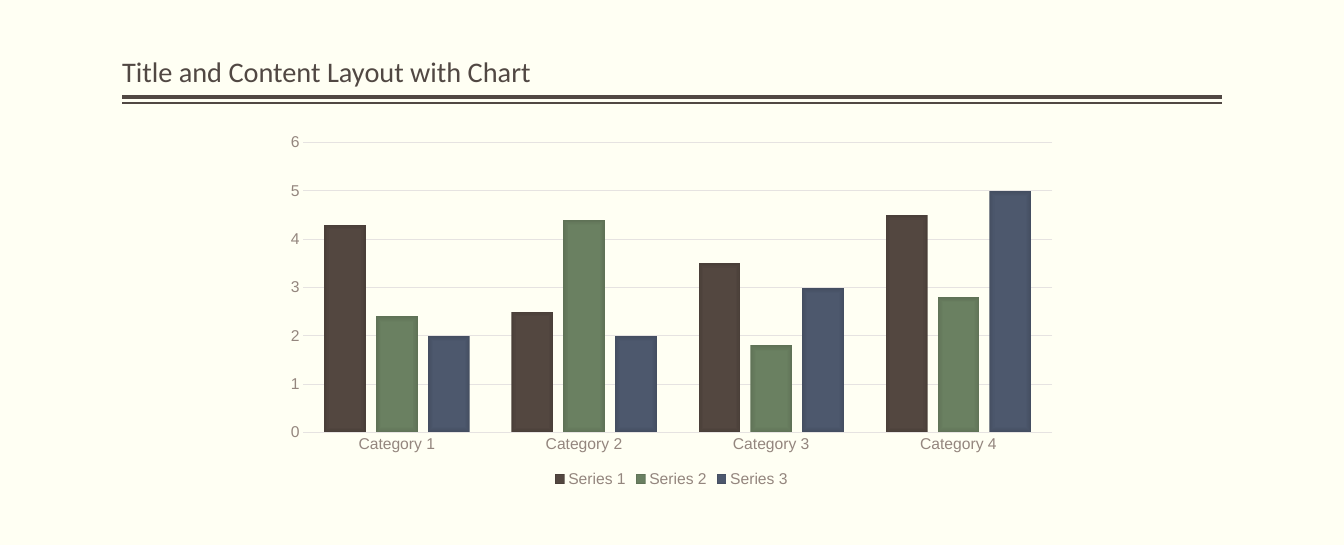
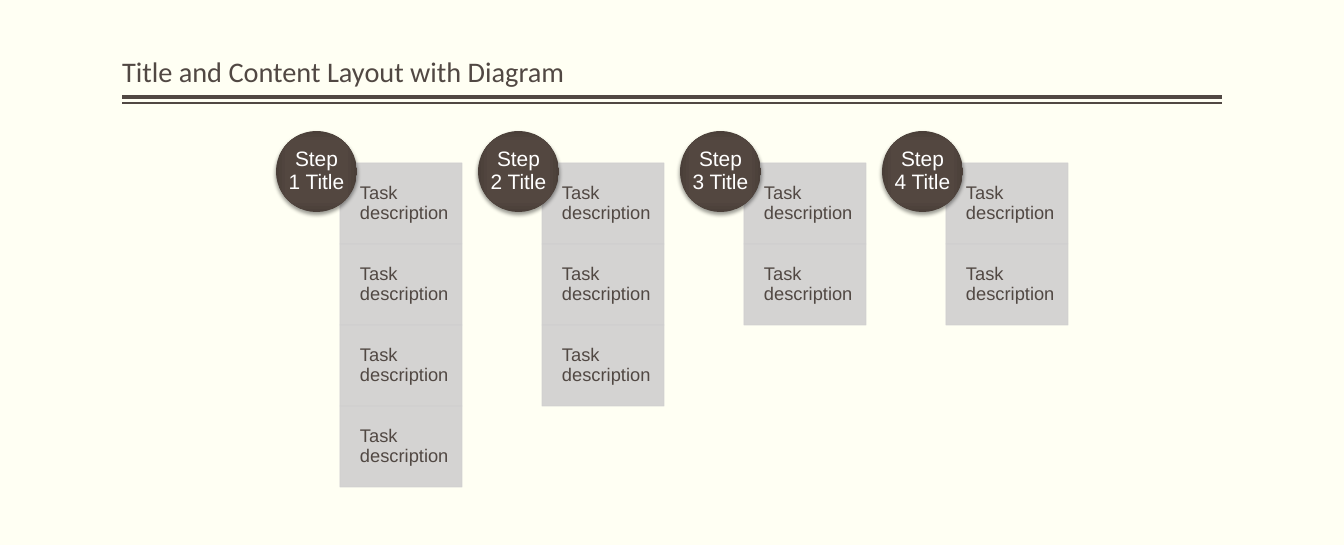
"""Build a chart slide and a step slide that share one title style."""
from lxml import etree
from pptx import Presentation, util as u
from pptx.chart import data
from pptx.dml import color
from pptx.enum import chart as ch, shapes, text
from pptx.oxml import ns, parse_xml

SCALE = 914400 / 94
WIDE, HIGH = 1344, 545
LEFT, RIGHT = 122, 1222
INK = {"paper": "FFFFF3", "text": "514843", "mute": "94867E", "grid": "E6E3E1",
       "task": "D0CFCF", "white": "FFFFFF", "black": "000000"}
BROWN = ("544740", "534740", "4A3F39")
GREEN = ("6B8162", "6A8061", "5F7256")
BLUE = ("4E596E", "4D586D", "444E61")
TITLE = {"name": "Calibri", "size": u.Pt(21.7)}
TASK = {"name": "Arial", "size": u.Pt(14)}
STEP = {"name": "Arial", "size": u.Pt(16)}
LABEL = {"name": "Arial", "size": u.Pt(12)}
CATS = [f"Category {n}" for n in range(1, 5)]
ROWS = [("Series 1", (4.3, 2.5, 3.5, 4.5), BROWN),
        ("Series 2", (2.4, 4.4, 1.8, 2.8), GREEN),
        ("Series 3", (2, 2, 3, 5), BLUE)]
TASKS = (4, 3, 2, 2)


def px(*vals):
    """Turn pixels into EMU."""
    return [u.Emu(round(v * SCALE)) for v in vals]


def put(obj, **vals):
    """Set each named value on an object."""
    for key, val in vals.items():
        setattr(obj, key, val)


def tint(ink):
    """Return the named colour."""
    return color.RGBColor.from_string(INK[ink])


def style(font, form, ink):
    """Apply a format and a colour to a font."""
    put(font, **form)
    font.color.rgb = tint(ink)


def stroke(line, ink, size):
    """Give a line its colour and width in points."""
    line.color.rgb = tint(ink)
    line.width = u.Pt(size)


def sub(node, tag, **attrs):
    """Add a drawing element below a node."""
    return etree.SubElement(node, ns.qn(f"a:{tag}"), attrs)


def fade(fill, props, tones):
    """Fill from the centre out with three tones."""
    fill.solid()
    grad = parse_xml(f'<a:gradFill {ns.nsdecls("a")} rotWithShape="1"/>')
    stops = sub(grad, "gsLst")
    for pos, tone in zip((0, 71, 100), tones):
        sub(sub(stops, "gs", pos=str(pos * 1000)), "srgbClr", val=tone)
    sides = dict.fromkeys("ltrb", "50000")
    sub(sub(grad, "path", **{"path": "rect"}), "fillToRect", **sides)
    props.replace(props.find(ns.qn("a:solidFill")), grad)


def write(shape, words, form, ink, anchor, align, pad):
    """Write one paragraph with pixel insets (left, top, right, bottom)."""
    frame = shape.text_frame
    sides = ("margin_left", "margin_top", "margin_right", "margin_bottom")
    put(frame, word_wrap=True, vertical_anchor=anchor, **dict(zip(sides, px(*pad))))
    para = frame.paragraphs[0]
    put(para, text=words, alignment=align, line_spacing=0.9)
    style(para.runs[0].font, form, ink)


def rule(slide, y, size):
    """Draw a line across the page."""
    line = slide.shapes.add_connector(
        shapes.MSO_CONNECTOR.STRAIGHT, *px(RIGHT, y, LEFT, y))
    stroke(line.line, "text", size)
    sub(line.element.spPr, "effectLst")


def page(prs, title):
    """Add a slide with its title and double rule."""
    slide = prs.slides.add_slide(prs.slide_layouts[6])
    rule(slide, 97, 3)
    rule(slide, 103, 1)
    box = slide.shapes.add_textbox(*px(LEFT, 1, RIGHT - LEFT, 93))
    write(box, title, TITLE, "text", text.MSO_ANCHOR.BOTTOM,
          text.PP_ALIGN.LEFT, (0, 5, 0, 5))
    return slide


def bars(slide):
    """Add the column chart."""
    book = data.CategoryChartData()
    book.categories = CATS
    for name, vals, _ in ROWS:
        book.add_series(name, vals)
    chart = slide.shapes.add_chart(
        ch.XL_CHART_TYPE.COLUMN_CLUSTERED, *px(275, 127, 793, 364), book).chart
    put(chart, has_title=False, has_legend=True)
    put(chart.legend, position=ch.XL_LEGEND_POSITION.BOTTOM, include_in_layout=False)
    cat, val = chart.category_axis, chart.value_axis
    for part in (chart, chart.legend):
        style(part.font, LABEL, "mute")
    for axis in (cat, val):
        style(axis.tick_labels.font, LABEL, "mute")
        put(axis, major_tick_mark=ch.XL_TICK_MARK.NONE,
            minor_tick_mark=ch.XL_TICK_MARK.NONE)
    put(val, minimum_scale=0, maximum_scale=6, major_unit=1)
    stroke(cat.format.line, "grid", 1)
    stroke(val.major_gridlines.format.line, "grid", 0.75)
    val.format.line.fill.background()
    plot = chart.plots[0]
    put(plot, gap_width=100, overlap=-24, vary_by_categories=False)
    for row, (_, _, tones) in zip(plot.series, ROWS):
        fade(row.format.fill, row._element.get_or_add_spPr(), tones)


def task(slide, x, y, wide, high):
    """Add a grey task box."""
    box = slide.shapes.add_shape(
        shapes.MSO_SHAPE.RECTANGLE, *px(x, y, wide, high))
    box.shadow.inherit = False
    box.fill.solid()
    box.fill.fore_color.rgb = tint("task")
    stroke(box.line, "task", 0.5)
    for tone in box.element.spPr.iter(ns.qn("a:srgbClr")):
        sub(tone, "alpha", val="90000")
    write(box, "Task description", TASK, "text", text.MSO_ANCHOR.MIDDLE,
          text.PP_ALIGN.LEFT, (20, 10, 10, 10))


def disc(slide, x, y, size, words):
    """Add a round step title with a soft shadow."""
    dot = slide.shapes.add_shape(shapes.MSO_SHAPE.OVAL, *px(x, y, size, size))
    props = dot.element.spPr
    dot.line.fill.background()
    fade(dot.fill, props, BROWN)
    dot.shadow.inherit = False
    cast = sub(props.find(ns.qn("a:effectLst")), "outerShdw", blurRad=str(u.Pt(3.1)),
               dist=str(u.Pt(2)), dir="5400000", rotWithShape="0")
    sub(sub(cast, "srgbClr", val=INK["black"]), "alpha", val="38000")
    write(dot, words, STEP, "white", text.MSO_ANCHOR.MIDDLE,
          text.PP_ALIGN.CENTER, (0, 0, 0, 0))


def steps(slide):
    """Lay out the steps, each with its stack of tasks."""
    left, top, side, pitch = 276, 131, 81, 202
    for col, count in enumerate(TASKS):
        x = left + col * pitch
        for row in range(count):
            task(slide, x + 64, top + 32 + row * side, 122, side)
        disc(slide, x, top, side, f"Step {col + 1} Title")


def main():
    """Build and save both slides."""
    prs = Presentation()
    prs.slide_width, prs.slide_height = px(WIDE, HIGH)
    back = prs.slide_master.background.fill
    back.solid()
    back.fore_color.rgb = tint("paper")
    bars(page(prs, "Title and Content Layout with Chart"))
    steps(page(prs, "Title and Content Layout with Diagram"))
    prs.save("out.pptx")


if __name__ == "__main__":
    main()
